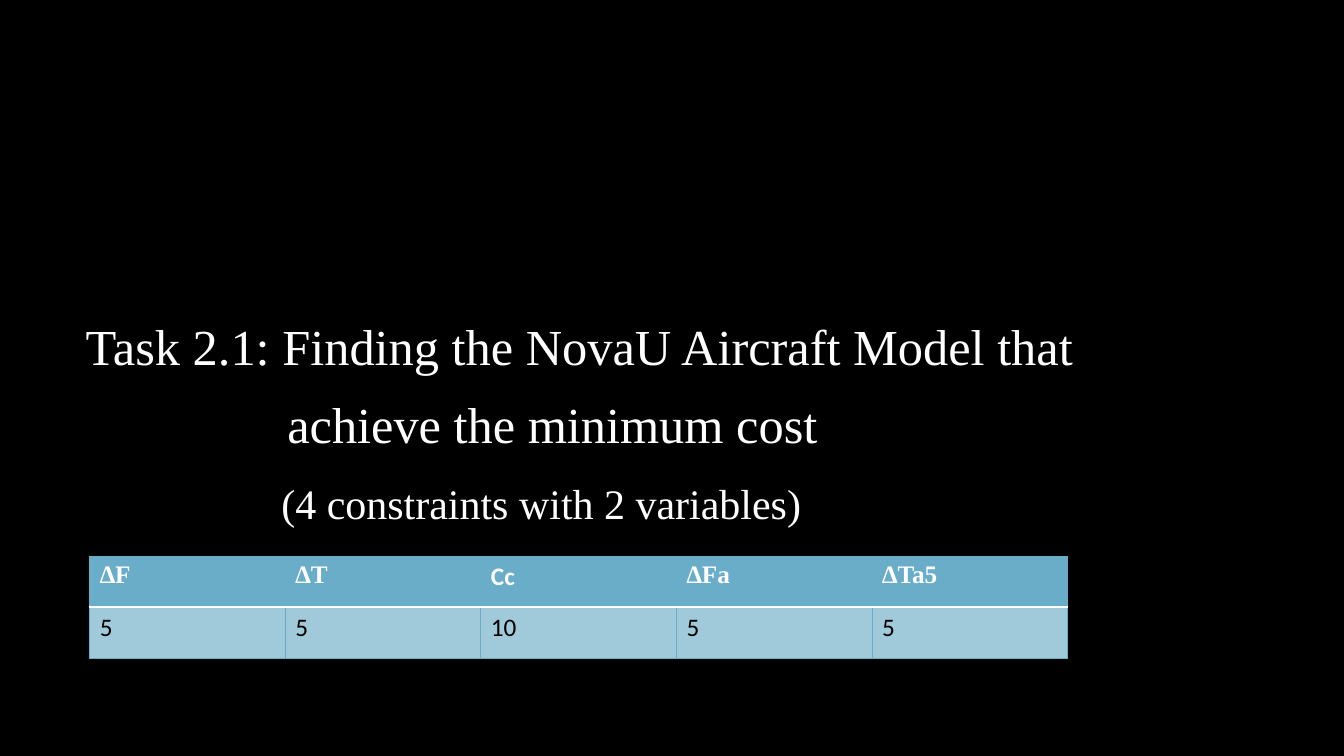
from lxml import etree
from pptx import Presentation
from pptx import util as u
from pptx.dml.color import RGBColor
from pptx.enum import text
from pptx.oxml import ns

WIDE, HIGH = u.Inches(13.33), u.Inches(7.5)
SERIF, SANS = "Times New Roman", "Calibri"
WHITE, BLACK, BLUE, PALE = "FFFFFF", "000000", "6AADC8", "A0C9D9"
LINES = [
    ("Task 2.1: Finding the NovaU Aircraft Model that", 36, 0, 12),
    ("achieve the minimum cost", 36, 2.0, 17),
    ("(4 constraints with 2 variables)", 30, 1.94, 0),
]
HEADS = [("∆F", SERIF), ("∆T", SERIF), ("Cc", SANS), ("∆Fa", SERIF), ("∆Ta5", SERIF)]
COSTS = ["5", "5", "10", "5", "5"]


def paint(fill, tone):
    fill.solid()
    fill.fore_color.rgb = RGBColor.from_string(tone)


def write(para, words, size, face, tone, bold=False):
    run = para.add_run()
    run.text = words
    run.font.size = u.Pt(size)
    run.font.name = face
    run.font.bold = bold
    paint(run.font.fill, tone)


def edge(cell, side, tone, width):
    line = etree.Element(ns.qn(f"a:ln{side}"), w=str(u.Pt(width)))
    fill = etree.SubElement(line, ns.qn("a:solidFill"))
    etree.SubElement(fill, ns.qn("a:srgbClr"), val=tone)
    return line


def frame(cell, rules):
    props = cell._tc.get_or_add_tcPr()
    for spot, (side, (tone, width)) in enumerate(rules.items()):
        props.insert(spot, edge(cell, side, tone, width))


def head(slide):
    title = slide.shapes.title
    title.left, title.top = u.Inches(0.75), u.Inches(3.08)
    title.width, title.height = u.Inches(11.08), u.Inches(2.3)
    body = title.text_frame
    body.word_wrap = True
    body.auto_size = text.MSO_AUTO_SIZE.NONE
    body.vertical_anchor = text.MSO_ANCHOR.TOP
    for row, (words, size, inset, gap) in enumerate(LINES):
        para = body.add_paragraph() if row else body.paragraphs[0]
        para.alignment = text.PP_ALIGN.LEFT
        para.space_before, para.space_after = u.Pt(0), u.Pt(gap)
        props = para._p.get_or_add_pPr()
        props.set("marL", str(u.Inches(inset)))
        props.set("indent", "0")
        write(para, words, size, face=SERIF, tone=WHITE)


def grid(slide):
    table = slide.shapes.add_table(
        2, len(HEADS), u.Inches(0.89), u.Inches(5.52), u.Inches(9.7), u.Inches(1.01)
    ).table
    thin, thick = (BLUE, 0.75), (WHITE, 1.5)
    rows = [
        (HEADS, BLUE, WHITE, True, dict(L=thin, R=thin, T=thin, B=thick)),
        ([(cost, SANS) for cost in COSTS], PALE, BLACK, False,
         dict(L=thin, R=thin, T=thick, B=thin)),
    ]
    for row, (items, back, ink, bold, rules) in enumerate(rows):
        for col, (words, face) in enumerate(items):
            cell = table.cell(row, col)
            paint(cell.fill, back)
            frame(cell, rules)
            write(cell.text_frame.paragraphs[0], words, 18, face, ink, bold)


def main():
    deck = Presentation()
    deck.slide_width, deck.slide_height = WIDE, HIGH
    slide = deck.slides.add_slide(deck.slide_layouts.get_by_name("Title Only"))
    paint(slide.background.fill, BLACK)
    head(slide)
    grid(slide)
    deck.save("out.pptx")


if __name__ == "__main__":
    main()
